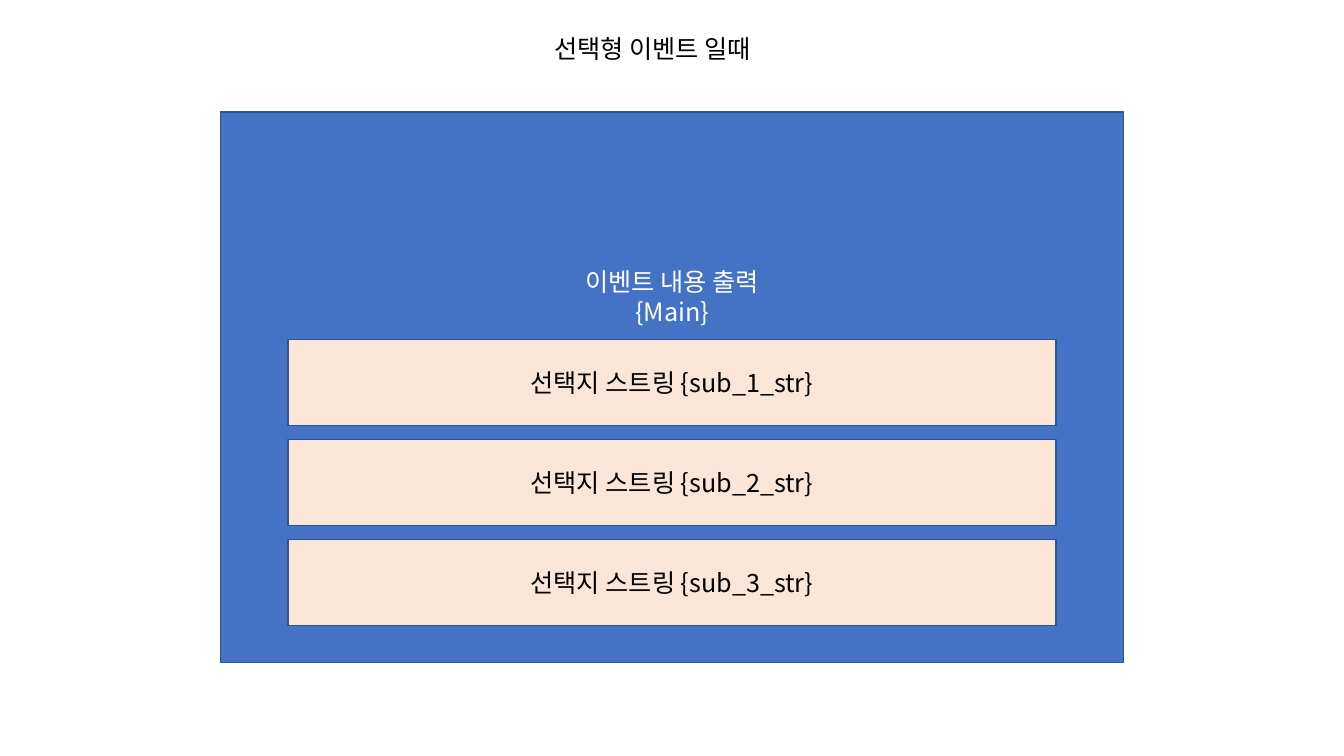
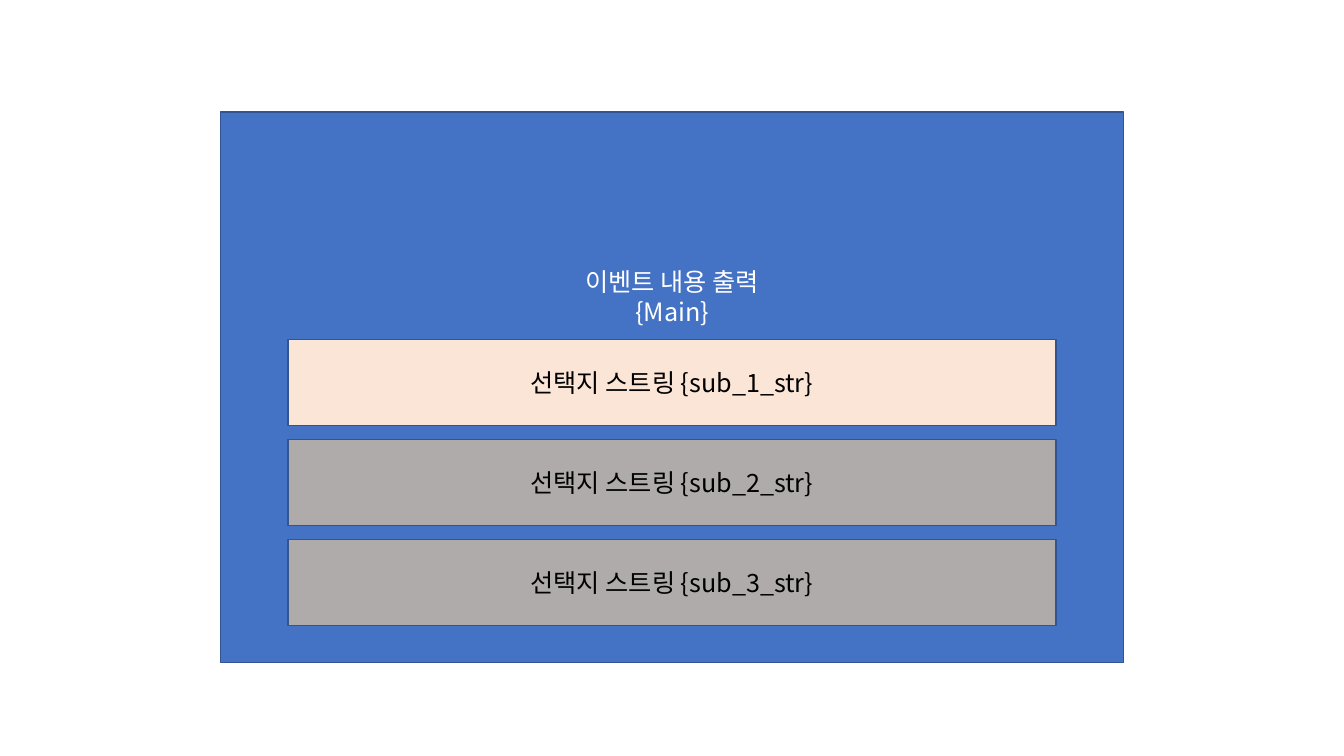
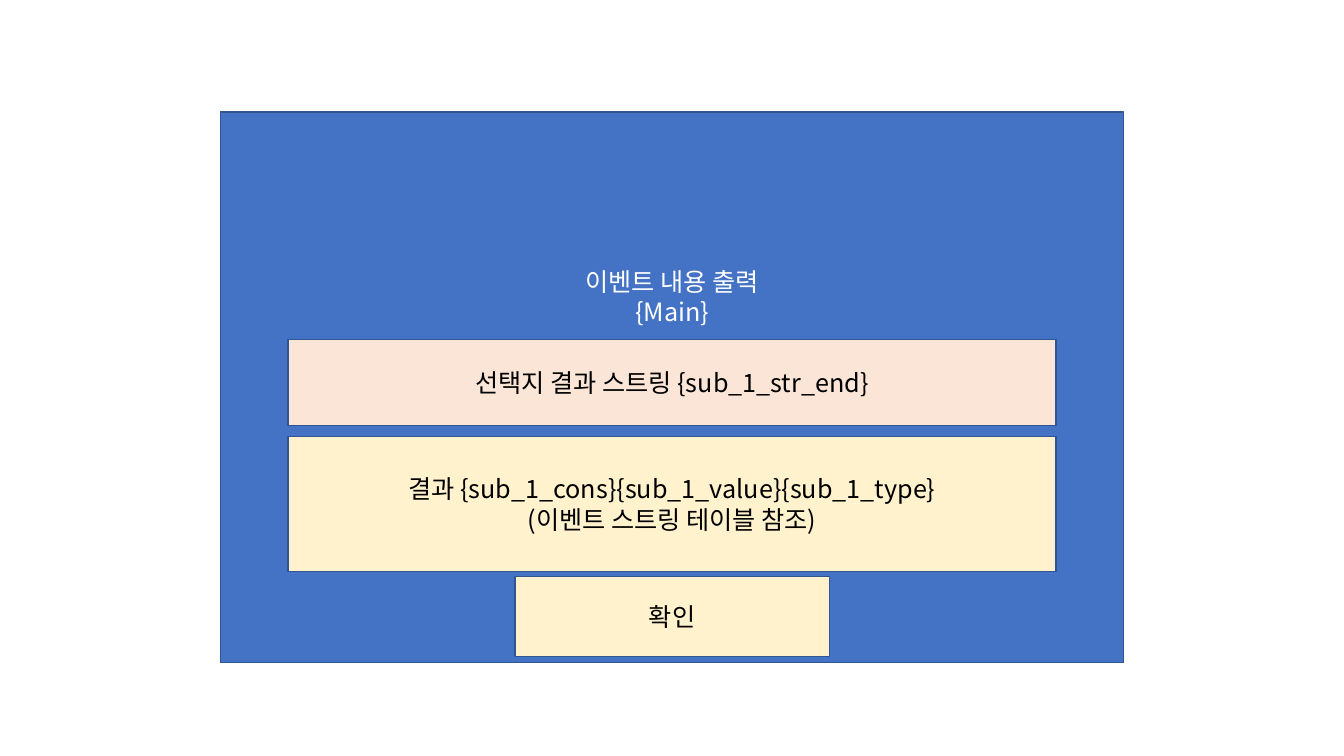
from dataclasses import dataclass

from lxml.etree import SubElement
from pptx import Presentation
from pptx.dml.color import RGBColor
from pptx.enum.shapes import MSO_SHAPE
from pptx.enum.text import MSO_ANCHOR, MSO_AUTO_SIZE, PP_ALIGN
from pptx.oxml.ns import qn
from pptx.util import Cm, Pt


@dataclass(frozen=True)
class Theme:
    """Colours and type shared by all slides."""
    panel: RGBColor = RGBColor(0x44, 0x72, 0xC4)
    outline: RGBColor = RGBColor(0x32, 0x54, 0x91)
    option: RGBColor = RGBColor(0xFB, 0xE5, 0xD6)
    disabled: RGBColor = RGBColor(0xAF, 0xAB, 0xAB)
    result: RGBColor = RGBColor(0xFF, 0xF2, 0xCC)
    dark: RGBColor = RGBColor(0, 0, 0)
    light: RGBColor = RGBColor(0xFF, 0xFF, 0xFF)
    font: str = "Noto Sans CJK KR"
    size: Pt = Pt(18)
    line: Pt = Pt(1)


theme = Theme()


def write(sp, text, color, align):
    """Put text in a shape and format every run."""
    tf = sp.text_frame
    tf.text = text
    for p in tf.paragraphs:
        p.alignment = align
        for r in p.runs:
            r.font.size = theme.size
            r.font.name = theme.font
            r.font.color.rgb = color
            SubElement(r.font._element, qn("a:ea"), typeface=theme.font)
    return tf


def add_box(s, left, top, width, height, fill, text, color=theme.dark):
    """Add an outlined box with centred text; lengths in centimetres."""
    sp = s.shapes.add_shape(MSO_SHAPE.RECTANGLE, Cm(left), Cm(top), Cm(width), Cm(height))
    sp.shadow.inherit = False
    sp.fill.solid()
    sp.fill.fore_color.rgb = fill
    sp.line.color.rgb = theme.outline
    sp.line.width = theme.line
    tf = write(sp, text, color, PP_ALIGN.CENTER)
    tf.word_wrap = True
    tf.vertical_anchor = MSO_ANCHOR.MIDDLE
    return tf


prs = Presentation()
prs.slide_width, prs.slide_height = Cm(33.87), Cm(19.05)

# Event panel on every slide, its text raised above the rows
slides = []
for _ in range(3):
    s = prs.slides.add_slide(prs.slide_layouts[6])
    tf = add_box(s, 5.56, 2.82, 22.76, 13.87, theme.panel,
                 "이벤트 내용 출력\n{Main}", theme.light)
    tf.margin_bottom = Cm(4.69)
    slides.append(s)
choice, chosen, outcome = slides

# Rows of options: all open, then only the first one open
row_left, row_top, row_width, row_height, row_step = 7.26, 8.56, 19.35, 2.16, 2.52
option_fills = [
    (choice, [theme.option] * 3),
    (chosen, [theme.option, theme.disabled, theme.disabled]),
]
for s, fills in option_fills:
    for i, fill in enumerate(fills):
        add_box(s, row_left, row_top + i * row_step, row_width, row_height, fill,
                f"선택지 스트링 {{sub_{i + 1}_str}}")

# Title of the first slide
title = choice.shapes.add_textbox(Cm(13.72), Cm(0.71), Cm(6.1), Cm(1.02))
tf = write(title, "선택형 이벤트 일때", theme.dark, PP_ALIGN.LEFT)
tf.word_wrap = False
tf.auto_size = MSO_AUTO_SIZE.SHAPE_TO_FIT_TEXT

# Outcome of the chosen option and its confirm button
add_box(outcome, row_left, row_top, row_width, row_height, theme.option,
        "선택지 결과 스트링 {sub_1_str_end}")
add_box(outcome, row_left, 11, row_width, 3.4, theme.result,
        "결과 {sub_1_cons}{sub_1_value}{sub_1_type}\n(이벤트 스트링 테이블 참조)")
add_box(outcome, 12.98, 14.53, 7.92, 2.01, theme.result, "확인")

prs.save("out.pptx")
